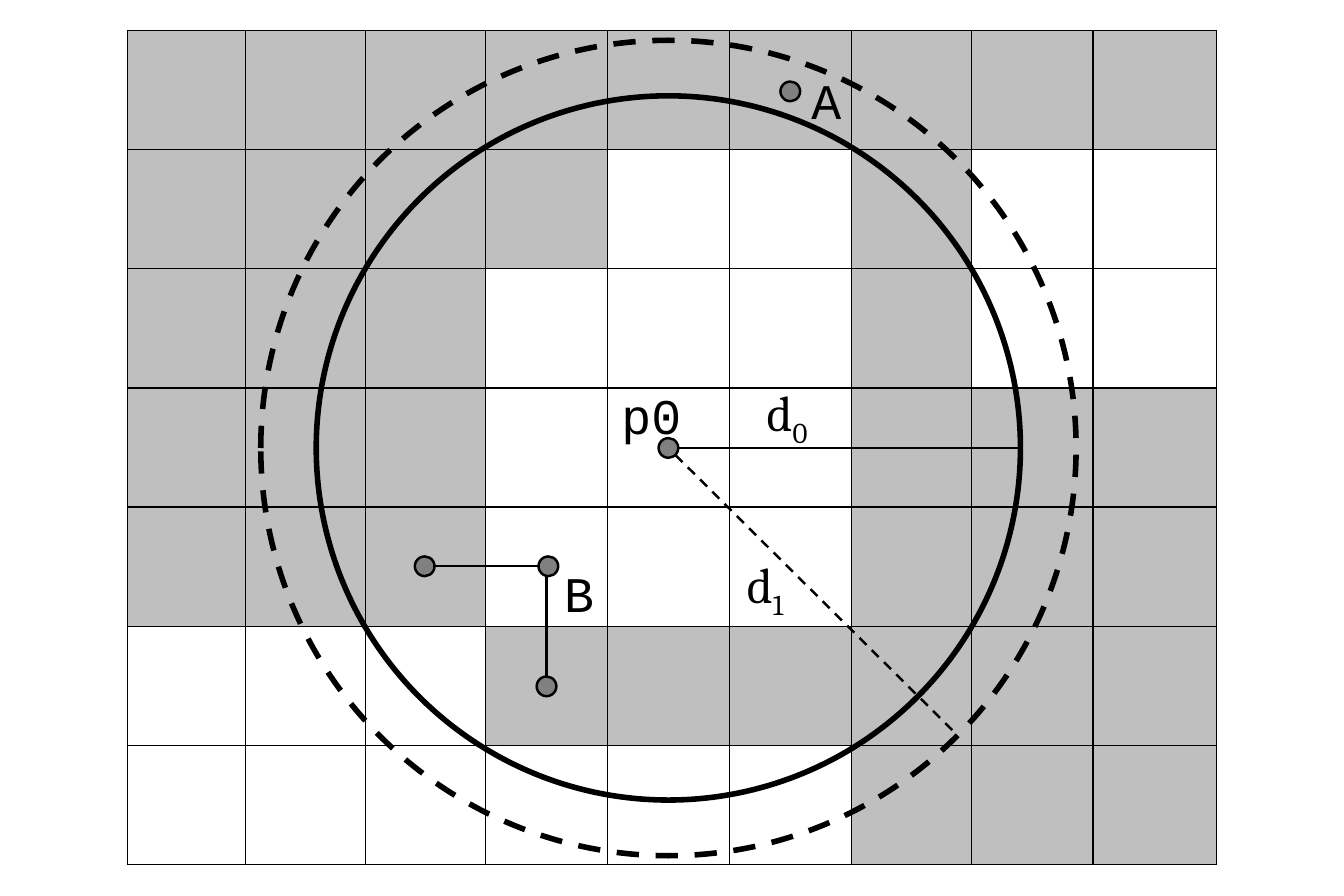
"""Draw a shaded grid with two distance circles around point p0."""
from dataclasses import dataclass
from pptx import Presentation
from pptx.dml.color import RGBColor
from pptx.enum import dml, shapes, text
from pptx.oxml.ns import qn
from pptx.util import Inches, Pt


@dataclass
class Theme:
    ink: RGBColor = RGBColor(0, 0, 0)
    shade: RGBColor = RGBColor(0xBF, 0xBF, 0xBF)
    dot: RGBColor = RGBColor(0x80, 0x80, 0x80)
    mono: str = "Courier New"
    serif: str = "Cambria"
    size: int = 20
    thin: float = 0.5
    mid: float = 1
    thick: float = 2.25


theme = Theme()
deck = Presentation()
deck.slide_width, deck.slide_height = Inches(7.5), Inches(5)
slide = deck.slides.add_slide(deck.slide_layouts[6])


def draw(kind, left, top, wide, high, fill=None, width=None, dash=False):
    item = slide.shapes.add_shape(kind, *map(Inches, (left, top, wide, high)))
    item.shadow.inherit = False
    if fill is None:
        item.fill.background()
    else:
        item.fill.solid()
        item.fill.fore_color.rgb = fill
    if width is None:
        item.line.fill.background()
    else:
        item.line.color.rgb = theme.ink
        item.line.width = Pt(width)
    if dash:
        item.line.dash_style = dml.MSO_LINE.DASH


def link(x1, y1, x2, y2, width, dash=False):
    item = slide.shapes.add_connector(
        shapes.MSO_CONNECTOR.STRAIGHT, *map(Inches, (x1, y1, x2, y2)))
    item.line.color.rgb = theme.ink
    item.line.width = Pt(width)
    if dash:
        item.line.dash_style = dml.MSO_LINE.DASH
    props = item._element.spPr
    props.append(props.makeelement(qn("a:effectLst"), {}))


cols = [0.71, 1.37, 2.04, 2.71, 3.39, 4.07, 4.75, 5.42, 6.1, 6.79]
rows = [0.17 + 0.665 * step for step in range(8)]
rect, oval = shapes.MSO_SHAPE.RECTANGLE, shapes.MSO_SHAPE.OVAL

blocks = [(3, 5, 6, 6), (0, 0, 4, 2), (4, 0, 9, 1),
          (6, 1, 7, 3), (6, 3, 9, 7), (0, 2, 3, 5)]
for c1, r1, c2, r2 in blocks:
    draw(rect, cols[c1], rows[r1], cols[c2] - cols[c1], rows[r2] - rows[r1],
         theme.shade)

for y in rows:
    link(cols[0], y, cols[-1], y, theme.thin)
for x in cols:
    link(x, rows[0], x, rows[-1], theme.thin)

mid_x, mid_y = 3.73, 2.5
for radius, dash in [(1.965, False), (2.275, True)]:
    draw(oval, mid_x - radius, mid_y - radius, 2 * radius, 2 * radius,
         width=theme.thick, dash=dash)

link(2.43, 3.16, 3, 3.16, theme.mid)
link(3.05, 3.22, 3.05, 3.77, theme.mid)
link(3.79, 2.5, 5.69, 2.5, theme.mid)
link(3.77, 2.54, 5.34, 4.1, theme.mid, True)

dots = [(mid_x, mid_y), (4.41, 0.51), (3.06, 3.16), (3.05, 3.83), (2.37, 3.16)]
for x, y in dots:
    draw(oval, x - 0.055, y - 0.055, 0.11, 0.11, theme.dot, theme.mid)

labels = [("p0", "", 3.37, 2.1, theme.mono), ("A", "", 4.43, 0.34, theme.mono),
          ("B", "", 3.05, 3.09, theme.mono), ("d", "0", 4.18, 2.08, theme.serif),
          ("d", "1", 4.07, 3.04, theme.serif)]
for word, sub, x, y, face in labels:
    box = slide.shapes.add_textbox(*map(Inches, (x, y, 0.67, 0.44)))
    frame = box.text_frame
    frame.word_wrap = True
    frame.auto_size = text.MSO_AUTO_SIZE.SHAPE_TO_FIT_TEXT
    para = frame.paragraphs[0]
    para.text = word
    if sub:
        low = para.add_run()
        low.text = sub
        low._r.get_or_add_rPr().set("baseline", "-25000")
    for run in para.runs:
        run.font.name = face
        run.font.size = Pt(theme.size)
        run.font.color.rgb = theme.ink

deck.save("out.pptx")
